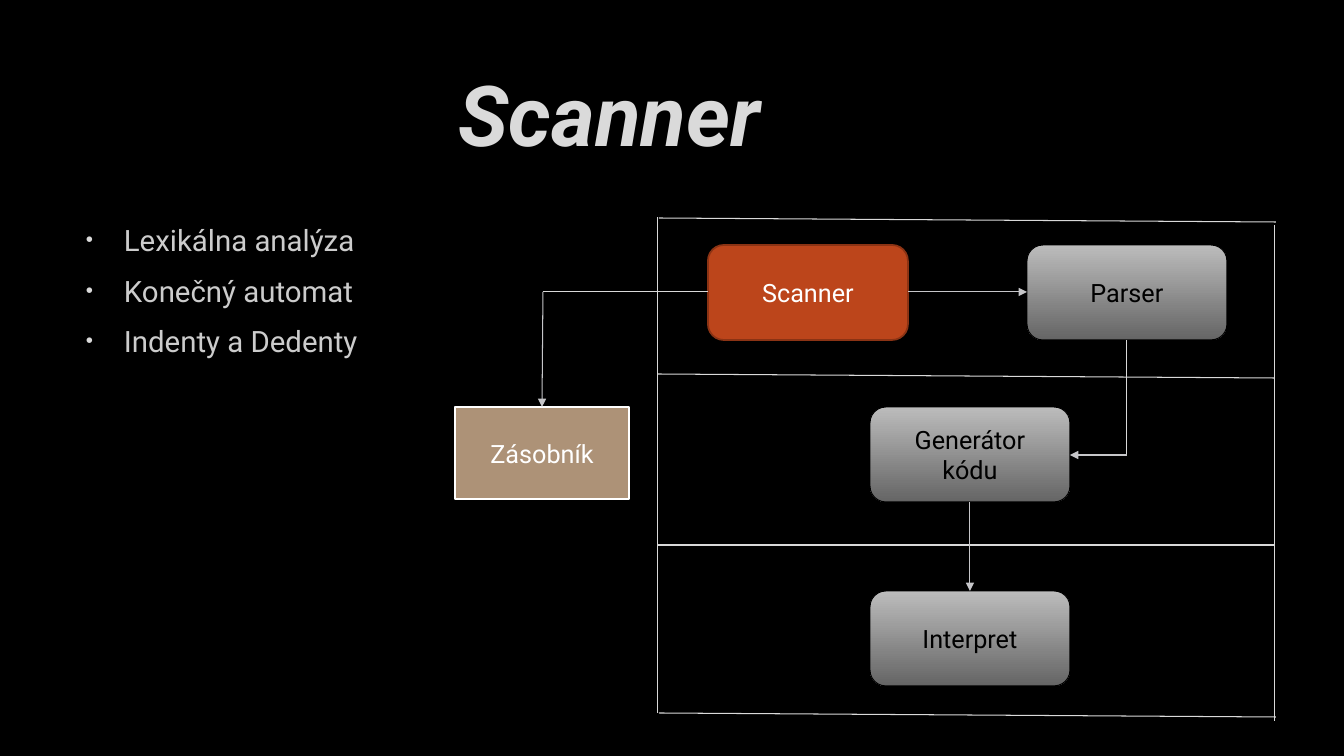
from dataclasses import dataclass

from lxml import etree
from pptx import Presentation
from pptx import util as u
from pptx.dml.color import RGBColor
from pptx.enum import shapes, text
from pptx.oxml.ns import qn

WIDTH, HEIGHT = 1344, 756
EMU_PER_PX = 12192000 / WIDTH


@dataclass(frozen=True)
class Theme:
    font: str = "Roboto"
    background: str = "000000"
    title: str = "DADADA"
    body: str = "CCCCCC"
    frame: str = "D9D9D9"
    arrow: str = "C6C6C9"
    title_pt: int = 60
    body_pt: int = 21
    label_pt: int = 18
    thin_pt: float = 0.75


THEME = Theme()


@dataclass(frozen=True)
class BoxStyle:
    preset: shapes.MSO_SHAPE
    fill: tuple[str, ...]  # one colour, or top and bottom of a gradient
    line: str
    line_pt: float
    label: str


ROUNDED = shapes.MSO_SHAPE.ROUNDED_RECTANGLE
ACTIVE = BoxStyle(ROUNDED, ("BC451B",), "8B3314", 1.25, "FFFFFF")
STAGE = BoxStyle(ROUNDED, ("BCBCBC", "656565"), "000000", 0.75, "000000")
STORE = BoxStyle(shapes.MSO_SHAPE.RECTANGLE, ("AD9277",), "FFFFFF", 2, "FFFFFF")


@dataclass(frozen=True)
class Box:
    label: str
    left: int
    top: int
    style: BoxStyle
    width: int = 200
    height: int = 95

    @property
    def right(self) -> int:
        return self.left + self.width

    @property
    def bottom(self) -> int:
        return self.top + self.height

    @property
    def center(self) -> int:
        return self.left + self.width // 2

    @property
    def middle(self) -> int:
        return self.top + self.height // 2


@dataclass(frozen=True)
class Line:
    start: tuple[int, int]
    end: tuple[int, int]
    arrow: bool = False


def px(length: int) -> u.Emu:
    return u.Emu(round(length * EMU_PER_PX))


def rgb(color: str) -> RGBColor:
    return RGBColor.from_string(color)


def write(frame, lines: list[str], size: int, color: str, align: text.PP_ALIGN) -> None:
    frame.word_wrap = True
    frame.text = "\n".join(lines)
    for paragraph in frame.paragraphs:
        paragraph.alignment = align
        for run in paragraph.runs:
            run.font.name = THEME.font
            run.font.size = u.Pt(size)
            run.font.color.rgb = rgb(color)


def add_text(slide, left: int, top: int, width: int, height: int):
    return slide.shapes.add_textbox(px(left), px(top), px(width), px(height)).text_frame


def add_title(slide, wording: str) -> None:
    title = add_text(slide, 76, 42, 1067, 126)
    title.vertical_anchor = text.MSO_ANCHOR.BOTTOM
    write(title, [wording], THEME.title_pt, THEME.title, text.PP_ALIGN.CENTER)
    font = title.paragraphs[0].runs[0].font
    font.bold = font.italic = True


def add_bullets(slide, topics: list[str]) -> None:
    body = add_text(slide, 76, 217, 413, 511)
    write(body, topics, THEME.body_pt, THEME.body, text.PP_ALIGN.LEFT)
    indent = px(38)
    for paragraph in body.paragraphs:
        paragraph.space_before = u.Pt(5)
        paragraph.space_after = u.Pt(6)
        props = paragraph._p.get_or_add_pPr()
        props.set("marL", str(indent))
        props.set("indent", str(-indent))
        bullet_color = etree.SubElement(props, qn("a:buClr"))
        etree.SubElement(bullet_color, qn("a:srgbClr"), val=THEME.title)
        etree.SubElement(props, qn("a:buSzPct"), val="70000")
        etree.SubElement(props, qn("a:buFont"), typeface="Arial")
        etree.SubElement(props, qn("a:buChar"), char="•")


def add_box(slide, box: Box) -> None:
    style = box.style
    node = slide.shapes.add_shape(
        style.preset, px(box.left), px(box.top), px(box.width), px(box.height))
    node.shadow.inherit = False
    if len(style.fill) == 1:
        node.fill.solid()
        node.fill.fore_color.rgb = rgb(style.fill[0])
    else:
        node.fill.gradient()
        node.fill.gradient_angle = 270
        for stop, color in zip(node.fill.gradient_stops, style.fill):
            stop.color.rgb = rgb(color)
    node.line.color.rgb = rgb(style.line)
    node.line.width = u.Pt(style.line_pt)
    node.text_frame.vertical_anchor = text.MSO_ANCHOR.MIDDLE
    write(node.text_frame, [box.label], THEME.label_pt, style.label, text.PP_ALIGN.CENTER)


def add_line(slide, line: Line) -> None:
    connector = slide.shapes.add_connector(
        shapes.MSO_CONNECTOR.STRAIGHT, *map(px, line.start + line.end))
    connector.line.color.rgb = rgb(THEME.arrow if line.arrow else THEME.frame)
    connector.line.width = u.Pt(THEME.thin_pt)
    if line.arrow:
        etree.SubElement(connector.line._get_or_add_ln(), qn("a:tailEnd"), type="triangle")
    etree.SubElement(connector._element.spPr, qn("a:effectLst"))


def main() -> None:
    deck = Presentation()
    deck.slide_width, deck.slide_height = px(WIDTH), px(HEIGHT)
    slide = deck.slides.add_slide(deck.slide_layouts[6])
    slide.background.fill.solid()
    slide.background.fill.fore_color.rgb = rgb(THEME.background)

    add_title(slide, "Scanner")
    add_bullets(slide, ["Lexikálna analýza", "Konečný automat", "Indenty a Dedenty"])

    # Compiler stages and the scanner's stack
    scanner = Box("Scanner", 708, 245, ACTIVE)
    parser = Box("Parser", 1027, 245, STAGE)
    generator = Box("Generátor kódu", 870, 407, STAGE)
    interpreter = Box("Interpret", 870, 591, STAGE)
    stack = Box("Zásobník", 455, 407, STORE, 174, 92)
    for box in (scanner, parser, generator, interpreter, stack):
        add_box(slide, box)

    # Frame around the three rows, slightly slanted
    left, right = 658, 1275
    frame = [
        Line((left, 217), (left, 713)),
        Line((right, 225), (right, 721)),
        Line((left + 1, 218), (right + 1, 222)),
        Line((left, 374), (right, 378)),
        Line((left, 545), (right, 545)),
        Line((left + 1, 713), (right + 1, 717)),
    ]

    # Flow between the stages
    parser_turn = (parser.center, generator.middle + 1)
    stack_turn = (stack.center + 1, scanner.middle)
    flow = [
        Line((scanner.right, scanner.middle), (parser.left, parser.middle), True),
        Line((parser.center, parser.bottom), parser_turn),
        Line(parser_turn, (generator.right, parser_turn[1]), True),
        Line((generator.center, generator.bottom), (interpreter.center, interpreter.top), True),
        Line((scanner.left, scanner.middle), stack_turn),
        Line(stack_turn, (stack.center, stack.top), True),
    ]
    for line in frame + flow:
        add_line(slide, line)

    deck.save("out.pptx")


if __name__ == "__main__":
    main()
